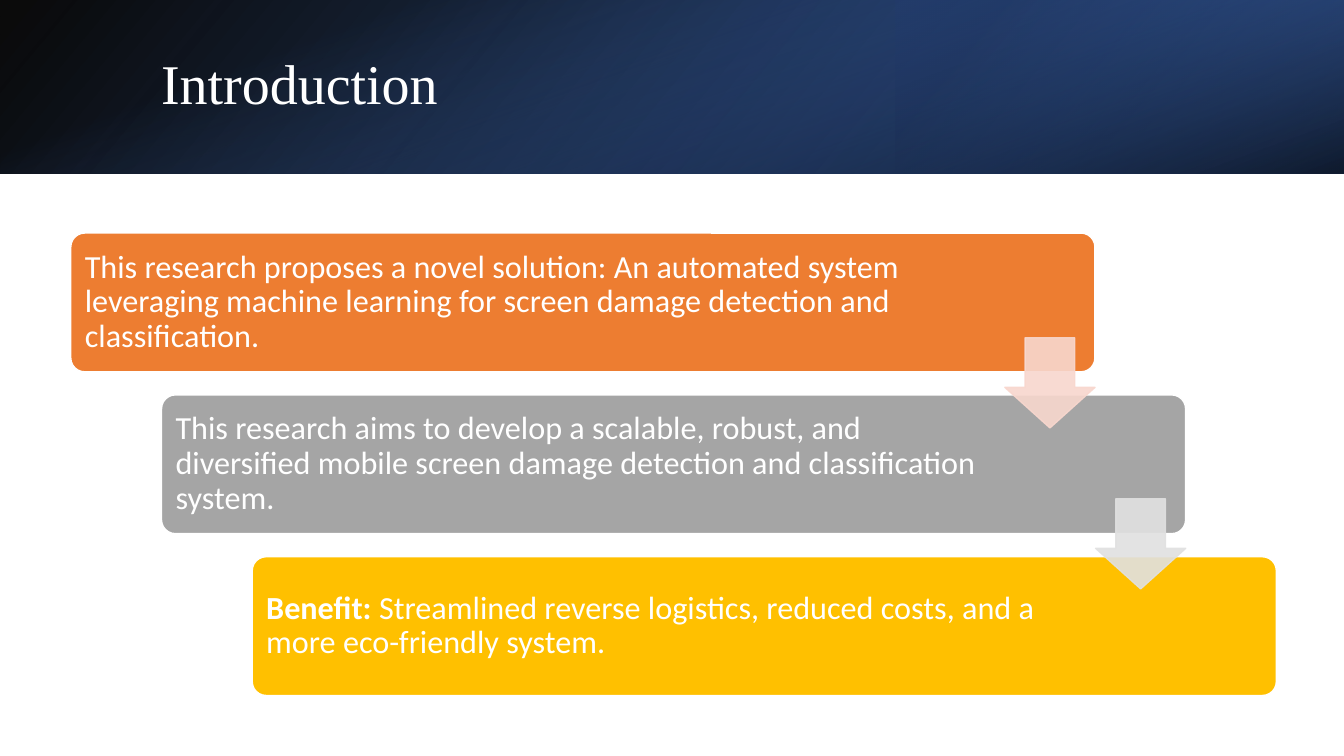
from lxml import etree
from pptx import Presentation
from pptx.dml.color import RGBColor
from pptx.enum import shapes, text
from pptx.oxml import ns
from pptx.util import Pt

WHITE = RGBColor(0xFF, 0xFF, 0xFF)
BLACK = RGBColor(0x00, 0x00, 0x00)
NAVY = RGBColor(0x20, 0x38, 0x64)
DEEP_BLUE = RGBColor(0x2F, 0x55, 0x97)
BLUE = RGBColor(0x44, 0x72, 0xC4)
ORANGE = RGBColor(0xED, 0x7D, 0x31)
GREY = RGBColor(0xA5, 0xA5, 0xA5)
GOLD = RGBColor(0xFF, 0xC0, 0x00)
PALE_ORANGE = RGBColor(0xF8, 0xD7, 0xCE)
PALE_GREY = RGBColor(0xE1, 0xE1, 0xE1)

WIDTH, HEIGHT, BANNER = 960, 540, 124
STEP_X, STEP_Y = 64.8, 115.6

STEPS = [
    (ORANGE, 624, [("This research proposes a novel solution: An automated system leveraging "
                    "machine learning for screen damage detection and classification.", False)]),
    (GREY, 597, [("This research aims to develop a scalable, robust, and diversified mobile "
                  "screen damage detection and classification system.", False)]),
    (GOLD, 597, [("Benefit:", True),
                 (" Streamlined reverse logistics, reduced costs, and a more eco-friendly system.", False)]),
]


class Slide:
    title_font = "Times New Roman"
    body_font = "Calibri"
    title_size = 40
    body_size = 23
    line_spacing = 0.9

    def __init__(self, deck):
        self.page = deck.slides.add_slide(deck.slide_layouts[6])

    def shape(self, kind, left, top, width, height, adjustments=()):
        shape = self.page.shapes.add_shape(kind, Pt(left), Pt(top), Pt(width), Pt(height))
        shape.shadow.inherit = False
        for index, value in enumerate(adjustments):
            shape.adjustments[index] = value
        return shape

    def fade(self, shape, opacities):
        colours = shape.element.spPr.iter(ns.qn("a:srgbClr"))
        for colour, opacity in zip(colours, opacities):
            etree.SubElement(colour, ns.qn("a:alpha"), val=str(opacity * 1000))

    def gradient(self, left, top, width, height, stops, angle, rotation=0, flip=False):
        shape = self.shape(shapes.MSO_SHAPE.RECTANGLE, left, top, width, height)
        shape.line.fill.background()
        shape.fill.gradient()
        shape.fill.gradient_angle = 360 - angle
        for stop, (position, colour, _) in zip(shape.fill.gradient_stops, stops):
            stop.position = position
            stop.color.rgb = colour
        self.fade(shape, [opacity for _, _, opacity in stops])
        shape.rotation = rotation
        if flip:
            shape.element.spPr.xfrm.set("flipH", "1")

    def solid(self, kind, left, top, width, height, fill, line, adjustments, opacity=100):
        shape = self.shape(kind, left, top, width, height, adjustments)
        shape.fill.solid()
        shape.fill.fore_color.rgb = fill
        shape.line.color.rgb = line
        shape.line.width = Pt(1)
        if opacity < 100:
            self.fade(shape, [opacity, opacity])

    def text(self, left, top, width, height, spans, font, size, space_after=0):
        box = self.page.shapes.add_textbox(Pt(left), Pt(top), Pt(width), Pt(height))
        frame = box.text_frame
        frame.word_wrap = True
        frame.vertical_anchor = text.MSO_ANCHOR.MIDDLE
        frame.margin_left = frame.margin_right = Pt(7.2)
        para = frame.paragraphs[0]
        para.line_spacing = self.line_spacing
        para.space_after = Pt(space_after)
        for words, bold in spans:
            span = para.add_run()
            span.text = words
            span.font.name = font
            span.font.size = Pt(size)
            span.font.bold = bold
            span.font.color.rgb = WHITE

    def banner(self, title):
        self.gradient(0, 0, WIDTH, BANNER, [(0, BLACK, 96), (1, DEEP_BLUE, 100)], 140, flip=True)
        self.gradient(WIDTH * 2 / 3, 0, WIDTH / 3, BANNER,
                      [(0.19, NAVY, 68), (1, BLUE, 79)], 320, rotation=180, flip=True)
        self.gradient((WIDTH - BANNER) / 2, (BANNER - WIDTH) / 2, BANNER, WIDTH,
                      [(0.23, BLUE, 0), (0.99, BLACK, 74)], 340, rotation=90)
        self.text(108, 27.4, 790.6, 69.1, [(title, False)], self.title_font, self.title_size)

    def step(self, index, colour, text_width, spans):
        left, top = 50.6 + index * STEP_X, 166.5 + index * STEP_Y
        self.solid(shapes.MSO_SHAPE.ROUNDED_RECTANGLE, left, top, 731.5, 99.1, colour, WHITE, [0.1])
        self.text(left + 2.9, top + 2.9, text_width, 93.3, spans,
                  self.body_font, self.body_size, space_after=8.05)

    def arrow(self, index, colour):
        self.solid(shapes.MSO_SHAPE.DOWN_ARROW, 717.8 + index * STEP_X, 241.3 + index * 115,
                   64.4, 64.4, colour, colour, [0.55, 0.45], opacity=90)


def main():
    deck = Presentation()
    deck.slide_width, deck.slide_height = Pt(WIDTH), Pt(HEIGHT)
    slide = Slide(deck)
    slide.banner("Introduction")
    for index, (colour, text_width, spans) in enumerate(STEPS):
        slide.step(index, colour, text_width, spans)
    for index, colour in enumerate([PALE_ORANGE, PALE_GREY]):
        slide.arrow(index, colour)
    deck.save("out.pptx")


if __name__ == "__main__":
    main()
